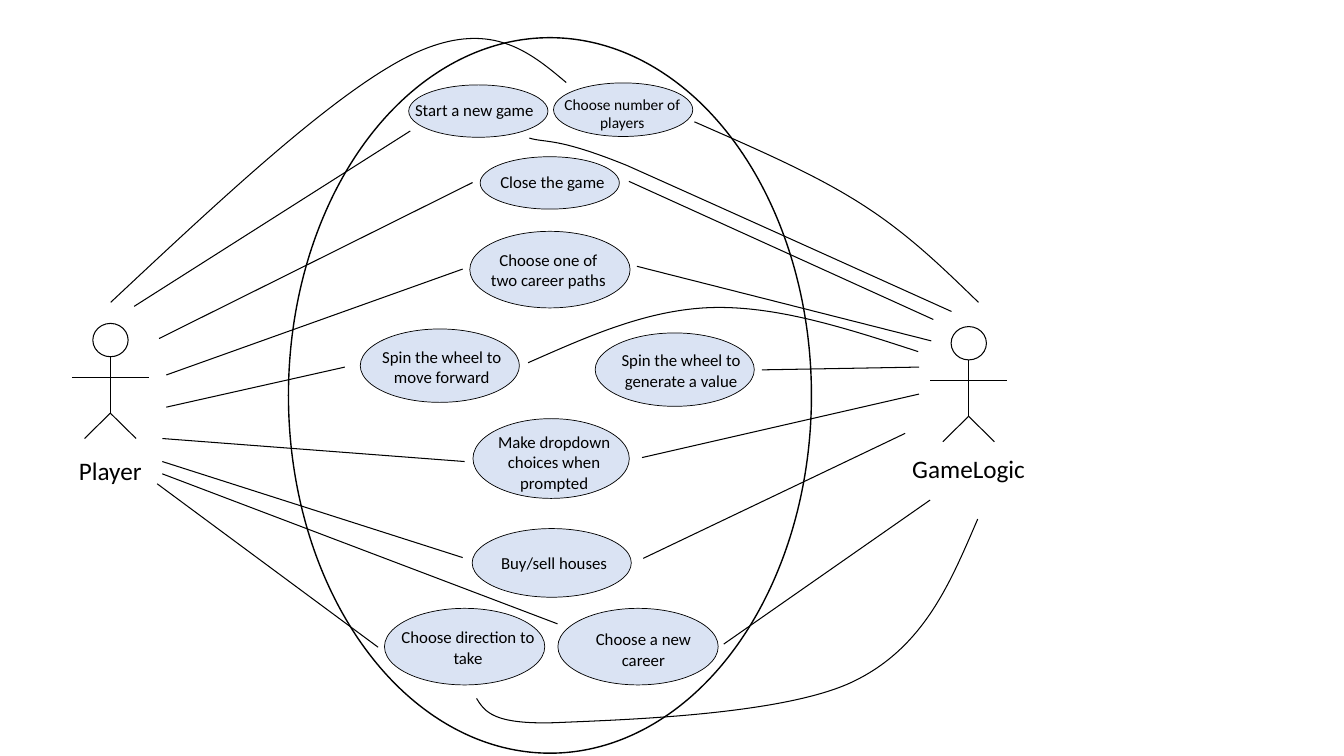
from lxml.etree import SubElement
from pptx import Presentation
from pptx.dml.color import RGBColor
from pptx.enum.shapes import MSO_CONNECTOR, MSO_SHAPE
from pptx.enum.text import PP_ALIGN
from pptx.oxml.ns import qn
from pptx.util import Cm, Pt

BLACK = RGBColor(0, 0, 0)
WHITE = RGBColor(255, 255, 255)
PALE_BLUE = RGBColor(0xDA, 0xE3, 0xF3)
FONT = "Calibri"
CURVE_STEPS = 24

USE_CASES = [
    ("Start a new game", (3.03, 1.19, 3.51, 1.32), (-0.35, 0.25, 4.01, 0.76), 12),
    ("Choose number of players", (6.68, 1.14, 3.51, 1.35), (-0.27, 0.18, 4.01, 1.19), 11),
    ("Close the game", (4.83, 3, 3.51, 1.32), (-0.18, 0.25, 4.01, 0.76), 12),
    ("Choose one of two career paths", (4.57, 4.88, 4.04, 1.93), (0.2, 0.33, 3.56, 1.27), 12),
    ("Spin the wheel to move forward", (1.81, 7.34, 4.01, 1.85), (0.05, 0.33, 4.01, 1.27), 12),
    ("Spin the wheel to generate a value", (7.73, 7.44, 4.01, 1.85), (0.16, 0.31, 4.01, 1.27), 12),
    ("Make dropdown choices when prompted", (4.65, 9.6, 3.94, 2.01), (0.04, 0.21, 4.01, 1.85), 12),
    ("Buy/sell houses", (4.63, 12.37, 4.01, 1.73), (0.06, 0.49, 4.01, 0.71), 12),
    ("Choose direction to take", (2.42, 14.38, 4.04, 1.93), (0.1, 0.35, 4.01, 1.27), 12),
    ("Choose a new career", (6.79, 14.38, 4.04, 1.93), (0.15, 0.4, 4.01, 1.27), 12),
]
PLAYER_LINKS = [
    (3.38, 7.72, 10.34, 3.3),
    (4.01, 8.53, 11.91, 4.6),
    (4.19, 9.45, 11.66, 6.78),
    (4.19, 10.26, 8.69, 9.25),
    (4.09, 11.05, 11.71, 11.63),
    (4.09, 11.63, 11.66, 14.05),
    (4.09, 11.94, 14.05, 15.72),
    (3.96, 12.19, 9.53, 16.31),
]
LOGIC_LINKS = [
    (15.85, 4.57, 23.52, 8.05),
    (16.05, 6.71, 23.47, 8.59),
    (19.2, 9.32, 23.16, 9.25),
    (16.18, 11.53, 23.16, 9.93),
    (16.21, 14.07, 22.81, 10.92),
    (18.24, 16.23, 23.44, 12.6),
]
CURVED_LINKS = [
    [(24.64, 13.08), (23.95, 14.68), (23.29, 16.31), (21.51, 17.17), (19.74, 18.03),
     (15.57, 18.14), (14, 18.21), (12.42, 18.26), (12.22, 17.93), (12.01, 17.6)],
    [(23.14, 8.86), (21.36, 8.28), (19.58, 7.7), (17.93, 7.75),
     (16.31, 7.8), (14.81, 8.48), (13.31, 9.14)],
    [(23.98, 7.85), (21.25, 6.62), (18.53, 5.39), (15.8, 4.17),
     (14.02, 3.45), (13.77, 3.61), (13.34, 3.48)],
    [(2.79, 7.62), (5.64, 4.95), (8.48, 2.29), (10.39, 1.37),
     (12.32, 0.46), (13.31, 1.27), (14.27, 2.08)],
    [(24.66, 7.62), (23.77, 6.76), (22.89, 5.89), (21.69, 5.13),
     (20.5, 4.37), (19, 3.73), (17.5, 3.07)],
]


def add_ellipse(shapes, x, y, w, h, fill, width):
    sp = shapes.add_shape(MSO_SHAPE.OVAL, Cm(x), Cm(y), Cm(w), Cm(h))
    sp.shadow.inherit = False
    sp.fill.solid()
    sp.fill.fore_color.rgb = fill
    sp.line.color.rgb = BLACK
    sp.line.width = Pt(width)


def add_line(shapes, x1, y1, x2, y2):
    cx = shapes.add_connector(MSO_CONNECTOR.STRAIGHT, Cm(x1), Cm(y1), Cm(x2), Cm(y2))
    cx.line.color.rgb = BLACK
    cx.line.width = Pt(0.75)
    SubElement(cx._element.spPr, qn("a:effectLst"))


def add_text(shapes, x, y, w, h, text, size):
    tf = shapes.add_textbox(Cm(x), Cm(y), Cm(w), Cm(h)).text_frame
    tf.word_wrap = True
    p = tf.paragraphs[0]
    p.text = text
    p.alignment = PP_ALIGN.CENTER
    p.font.name = FONT
    p.font.size = Pt(size)
    p.font.color.rgb = BLACK


def bezier(a, b, c, d, t):
    u = 1 - t
    return tuple(u**3 * i + 3 * u * u * t * j + 3 * u * t * t * k + t**3 * m
                 for i, j, k, m in zip(a, b, c, d))


def add_curve(shapes, points):
    track = [bezier(*points[i:i + 4], step / CURVE_STEPS)
             for i in range(0, len(points) - 1, 3)
             for step in range(1, CURVE_STEPS + 1)]
    x, y = points[0]
    builder = shapes.build_freeform(Cm(x), Cm(y))
    builder.add_line_segments([(Cm(x), Cm(y)) for x, y in track], close=False)
    sp = builder.convert_to_shape()
    outline = sp._element.spPr.find(".//" + qn("a:path"))
    for segment in outline.findall(qn("a:lnTo")):
        outline.remove(segment)
    for i in range(1, len(points), 3):
        cubic = SubElement(outline, qn("a:cubicBezTo"))
        for x, y in points[i:i + 3]:
            SubElement(cubic, qn("a:pt"), x=str(Cm(x) - sp.left), y=str(Cm(y) - sp.top))
    sp.shadow.inherit = False
    sp.fill.background()
    sp.line.color.rgb = BLACK
    sp.line.width = Pt(0.75)


def add_actor(s, x, y, w, h, name, label_gap):
    figure = s.shapes.add_group_shape().shapes
    middle, hip = x + w / 2, y + 2.26
    add_ellipse(figure, middle - 0.44, y, 0.89, 0.84, WHITE, 0.75)
    add_line(figure, middle, y + 0.84, middle, hip)
    add_line(figure, x, y + 1.37, x + w, y + 1.37)
    for side in (-1, 1):
        add_line(figure, middle + side * 0.65, y + h, middle, hip)
    add_text(s.shapes, middle - 2.17, y + h + label_gap, 4.34, 1.02, name, 18)


def add_system(s, x, y, w, h):
    system = s.shapes.add_group_shape().shapes
    add_ellipse(system, x, y, w, h, WHITE, 1)
    for text, (dx, dy, case_w, case_h), (text_dx, text_dy, text_w, text_h), size in USE_CASES:
        left, top = x + dx, y + dy
        add_ellipse(system, left, top, case_w, case_h, PALE_BLUE, 0.5)
        add_text(system, left + text_dx, top + text_dy, text_w, text_h, text, size)


def add_links(s, x, y):
    for x1, y1, x2, y2 in PLAYER_LINKS + LOGIC_LINKS:
        add_line(s.shapes, x + x1, y + y1, x + x2, y + y2)
    for points in CURVED_LINKS:
        add_curve(s.shapes, [(x + px, y + py) for px, py in points])


prs = Presentation()
prs.slide_width, prs.slide_height = Cm(33.87), Cm(19.05)
s = prs.slides.add_slide(prs.slide_layouts[6])
add_actor(s, 1.81, 8.15, 1.94, 2.9, "Player", 0.3)
add_system(s, 7.27, 0.95, 13.18, 18.03)
add_actor(s, 23.44, 8.23, 1.94, 2.9, "GameLogic", 0.17)
add_links(s, 0, 0)
prs.save("out.pptx")
